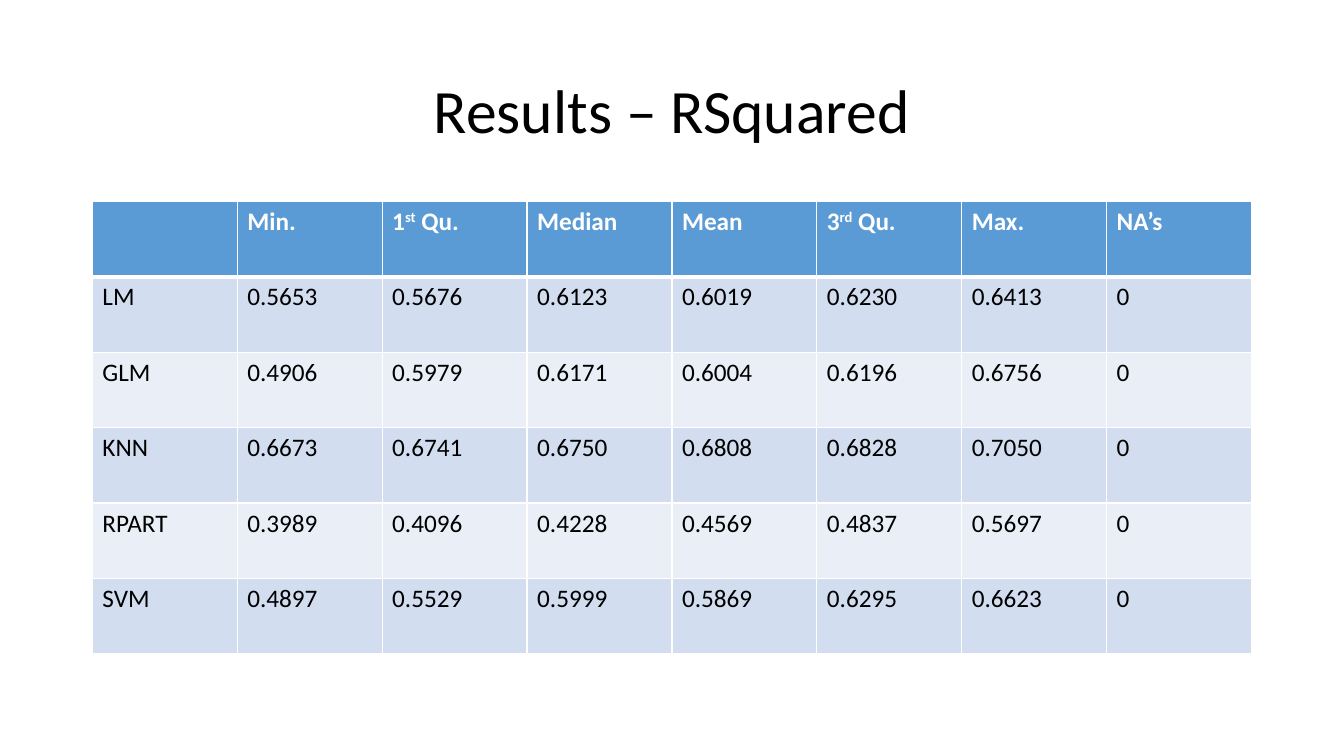
from lxml.etree import SubElement
from pptx import Presentation
from pptx.dml.color import RGBColor
from pptx.enum.text import MSO_ANCHOR, PP_ALIGN
from pptx.oxml.ns import qn
from pptx.util import Pt

WHITE = RGBColor(0xFF, 0xFF, 0xFF)
BLACK = RGBColor(0, 0, 0)
BLUE = RGBColor(0x5B, 0x9B, 0xD5)
BANDS = RGBColor(0xD2, 0xDE, 0xEF), RGBColor(0xEA, 0xEF, 0xF7)
FONT = "Calibri"

# Text between bars is raised.
HEADS = ["", "Min.", "1|st| Qu.", "Median", "Mean", "3|rd| Qu.", "Max.", "NA’s"]
MODELS = [
    ["LM", "0.5653", "0.5676", "0.6123", "0.6019", "0.6230", "0.6413", "0"],
    ["GLM", "0.4906", "0.5979", "0.6171", "0.6004", "0.6196", "0.6756", "0"],
    ["KNN", "0.6673", "0.6741", "0.6750", "0.6808", "0.6828", "0.7050", "0"],
    ["RPART", "0.3989", "0.4096", "0.4228", "0.4569", "0.4837", "0.5697", "0"],
    ["SVM", "0.4897", "0.5529", "0.5999", "0.5869", "0.6295", "0.6623", "0"],
]


def style(run, size, color, bold=False):
    font = run.font
    font.name = FONT
    font.size = Pt(size)
    font.bold = bold
    font.color.rgb = color


def add_title(slide, text):
    box = slide.shapes.add_textbox(Pt(66), Pt(28.75), Pt(828), Pt(104.4))
    frame = box.text_frame
    frame.word_wrap = True
    frame.vertical_anchor = MSO_ANCHOR.MIDDLE
    frame.text = text
    para = frame.paragraphs[0]
    para.alignment = PP_ALIGN.CENTER
    para.line_spacing = 0.9
    style(para.runs[0], 44, BLACK)


def add_edge(cell, side, width):
    line = SubElement(cell._tc.get_or_add_tcPr(), qn(f"a:ln{side}"), w=str(Pt(width)))
    fill = SubElement(line, qn("a:solidFill"))
    SubElement(fill, qn("a:srgbClr"), val=str(WHITE))


def fill_cell(cell, text, row):
    """Write one cell; row 0 is the header, with a thick line below it."""
    head = row == 0
    for side in "LRTB":
        thick = (row, side) in [(0, "B"), (1, "T")]
        add_edge(cell, side, 3 if thick else 1)
    cell.fill.solid()
    cell.fill.fore_color.rgb = BLUE if head else BANDS[(row - 1) % 2]
    para = cell.text_frame.paragraphs[0]
    for i, part in enumerate(text.split("|")):
        run = para.add_run()
        run.text = part
        style(run, 18, WHITE if head else BLACK, head)
        if i % 2:
            run.font._element.set("baseline", "30000")


def add_grid(slide, rows):
    frame = slide.shapes.add_table(
        len(rows), len(rows[0]), Pt(66), Pt(143.75), Pt(828), Pt(323.4))
    table = frame.table
    for r, texts in enumerate(rows):
        for c, text in enumerate(texts):
            fill_cell(table.cell(r, c), text, r)


def main():
    deck = Presentation()
    deck.slide_width = Pt(960)
    deck.slide_height = Pt(540)
    slide = deck.slides.add_slide(deck.slide_layouts[6])
    add_title(slide, "Results – RSquared")
    add_grid(slide, [HEADS] + MODELS)
    deck.save("out.pptx")


if __name__ == "__main__":
    main()
